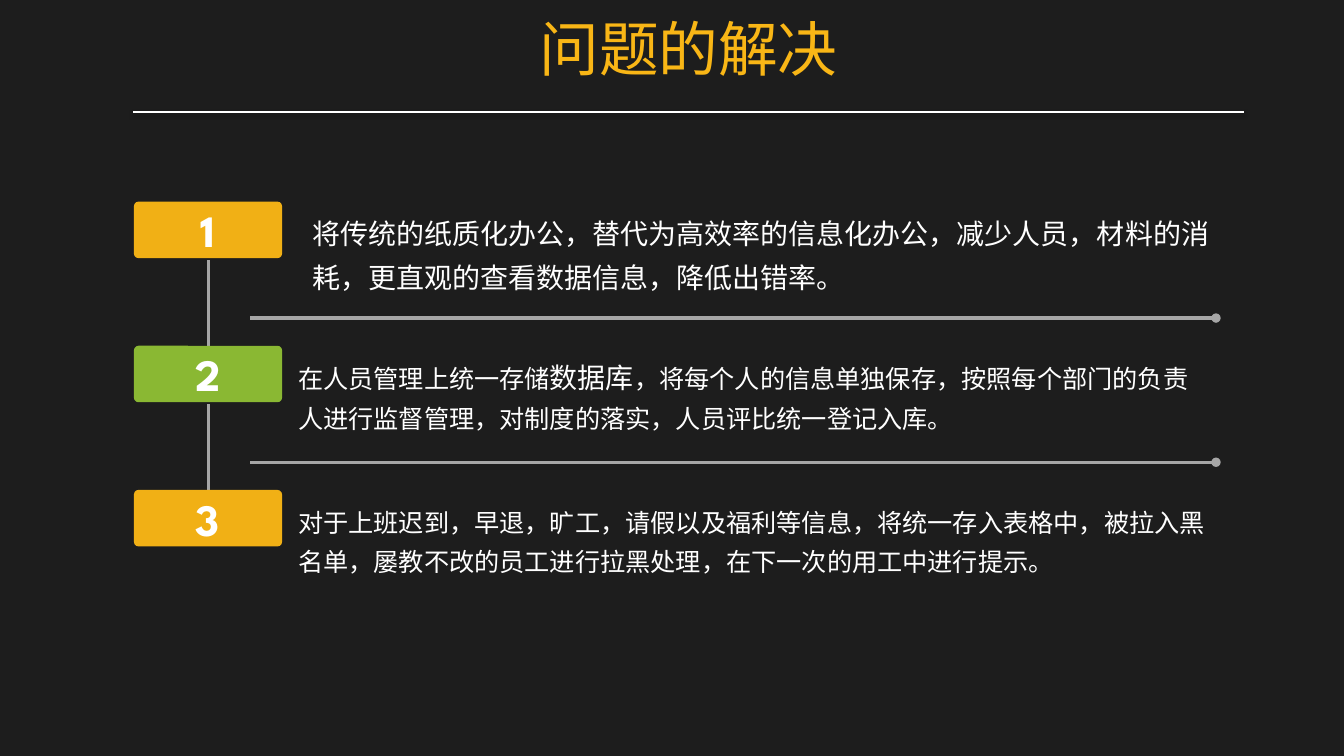
from collections import namedtuple

from pptx import Presentation, util as u
from pptx.dml.color import RGBColor
from pptx.enum import shapes, text
from pptx.oxml import parse_xml
from pptx.oxml.ns import nsdecls, qn

WIDTH, HEIGHT = u.Inches(13.34), u.Inches(7.5)
COLUMN, ROW = WIDTH / 100, HEIGHT / 100
BODY_FONT, NUMBER_FONT = "Noto Sans CJK SC", "League Spartan"
BACKGROUND, TITLE, WHITE, GREY = "1D1D1D", "F9B616", "FFFFFF", "A6A6A6"
AMBER, GREEN = "F1B015", "8AB833"
STEP_PITCH = 19.07

Box = namedtuple("Box", "left top width height")
Step = namedtuple("Step", "number color text_box runs")

STEPS = [
    Step("1", AMBER, Box(12.52, 0, 70.01, 12.93), [
        ("将传统的纸质化办公，替代为高效率的信息化办公，减少人员，材料的消耗，"
         "更直观的查看数据信息，降低出错率。", 20),
    ]),
    Step("2", GREEN, Box(11.47, 0, 69.04, 12.4), [
        ("在人员管理上统一存储", 18),
        ("数据库", 20),
        ("，将每个人的信息单独保存，按照每个部门的负责人进行监督管理，"
         "对制度的落实，人员评比统一登记入库。", 18),
    ]),
    Step("3", AMBER, Box(11.47, 0.4, 69.04, 11.73), [
        ("对于上班迟到，早退，旷工，请假以及福利等信息，将统一存入表格中，"
         "被拉入黑名单，屡教不改的员工进行拉黑处理，在下一次的用工中进行提示。", 18),
    ]),
]


def paint(color_format, color):
    color_format.rgb = RGBColor.from_string(color)


def emu(box):
    return (round(box.left * COLUMN), round(box.top * ROW),
            round(box.width * COLUMN), round(box.height * ROW))


def inside(box, part):
    return Box(box.left + part.left, box.top + part.top, part.width, part.height)


def add_run(paragraph, words, size, color, font=BODY_FONT, bold=False):
    run = paragraph.add_run()
    run.text = words
    run.font.size = u.Pt(size)
    run.font.bold = bold
    run.font.name = font
    paint(run.font.color, color)
    east_asian = parse_xml(f'<a:ea {nsdecls("a")} typeface="{font}"/>')
    run.font._element.find(qn("a:latin")).addnext(east_asian)


def add_line(slide, box, start, end, color, weight, effect="", oval_head=False):
    points = [round(length) for x, y in (start, end)
              for length in ((box.left + x) * COLUMN, (box.top + y) * ROW)]
    line = slide.shapes.add_connector(shapes.MSO_CONNECTOR.STRAIGHT, *points)
    paint(line.line.color, color)
    line.line.width = u.Pt(weight)
    if oval_head:
        line.line._get_or_add_ln().append(
            parse_xml(f'<a:headEnd {nsdecls("a")} type="oval"/>'))
    line._element.spPr.append(
        parse_xml(f'<a:effectLst {nsdecls("a")}>{effect}</a:effectLst>'))


def add_header(slide, box):
    title = slide.shapes.title
    title.left, title.top, title.width, title.height = emu(
        inside(box, Box(6.14, 1.6, 70.39, 10.93)))
    frame = title.text_frame
    frame.margin_left = frame.margin_right = frame.margin_top = frame.margin_bottom = 0
    frame.vertical_anchor = text.MSO_ANCHOR.TOP
    frame.auto_size = text.MSO_AUTO_SIZE.SHAPE_TO_FIT_TEXT
    frame.word_wrap = True
    paragraph = frame.paragraphs[0]
    paragraph.alignment = text.PP_ALIGN.CENTER
    add_run(paragraph, "问题的解决", 42.6, TITLE)
    shadow = (f'<a:outerShdw blurRad="{u.Pt(3.1)}" dist="{u.Pt(1.6)}" dir="5400000">'
              '<a:srgbClr val="000000"><a:alpha val="38000"/></a:srgbClr></a:outerShdw>')
    add_line(slide, box, (0, box.height), (box.width, box.height), WHITE, 1, shadow)


def add_badge(slide, box, number, color):
    badge = slide.shapes.add_shape(shapes.MSO_SHAPE.ROUNDED_RECTANGLE, *emu(box))
    badge.adjustments[0] = 0.08
    badge.shadow.inherit = False
    badge.fill.solid()
    paint(badge.fill.fore_color, color)
    badge.line.fill.background()
    badge.text_frame.vertical_anchor = text.MSO_ANCHOR.MIDDLE
    paragraph = badge.text_frame.paragraphs[0]
    paragraph.alignment = text.PP_ALIGN.CENTER
    add_run(paragraph, number, 32, WHITE, NUMBER_FONT, True)


def add_step(slide, box, step, last):
    add_badge(slide, inside(box, Box(0, 0, 11.02, 7.47)), step.number, step.color)
    if not last:
        add_line(slide, box, (5.55, 7.73), (5.55, 19.33), GREY, 2.25)
        add_line(slide, box, (box.width, 15.4), (8.62, 15.4), GREY, 2.25, oval_head=True)
    frame = slide.shapes.add_textbox(*emu(inside(box, step.text_box))).text_frame
    frame.word_wrap = True
    frame.auto_size = text.MSO_AUTO_SIZE.SHAPE_TO_FIT_TEXT
    paragraph = frame.paragraphs[0]
    paragraph.line_spacing = 1.3
    for words, size in step.runs:
        add_run(paragraph, words, size, WHITE)


def add_steps(slide, box):
    for index, step in enumerate(STEPS):
        step_box = Box(box.left, box.top + index * STEP_PITCH, box.width, STEP_PITCH)
        add_step(slide, step_box, step, index == len(STEPS) - 1)


def main():
    presentation = Presentation()
    presentation.slide_width, presentation.slide_height = WIDTH, HEIGHT
    slide = presentation.slides.add_slide(presentation.slide_layouts.get_by_name("Title Only"))
    slide.background.fill.solid()
    paint(slide.background.fill.fore_color, BACKGROUND)
    add_header(slide, Box(9.9, 0, 82.68, 14.8))
    add_steps(slide, Box(9.97, 26.67, 80.51, 3 * STEP_PITCH))
    presentation.save("out.pptx")


if __name__ == "__main__":
    main()
